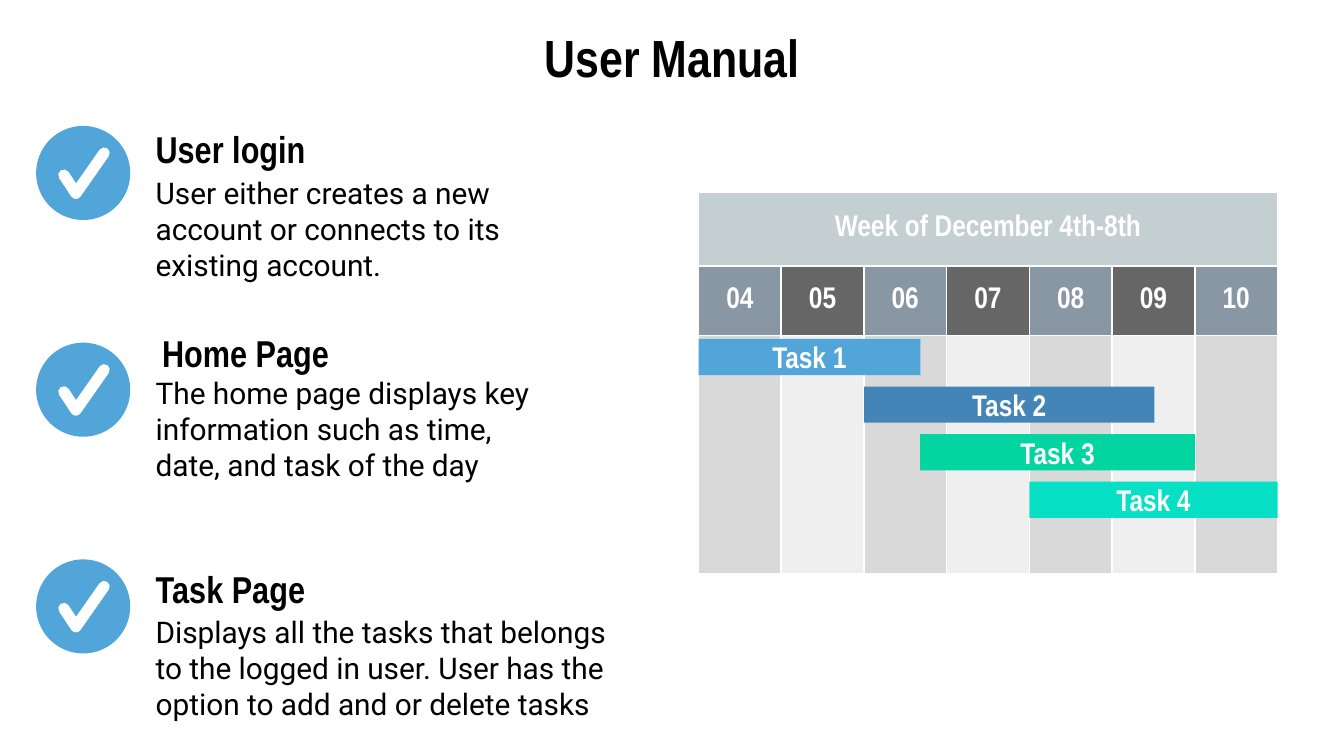
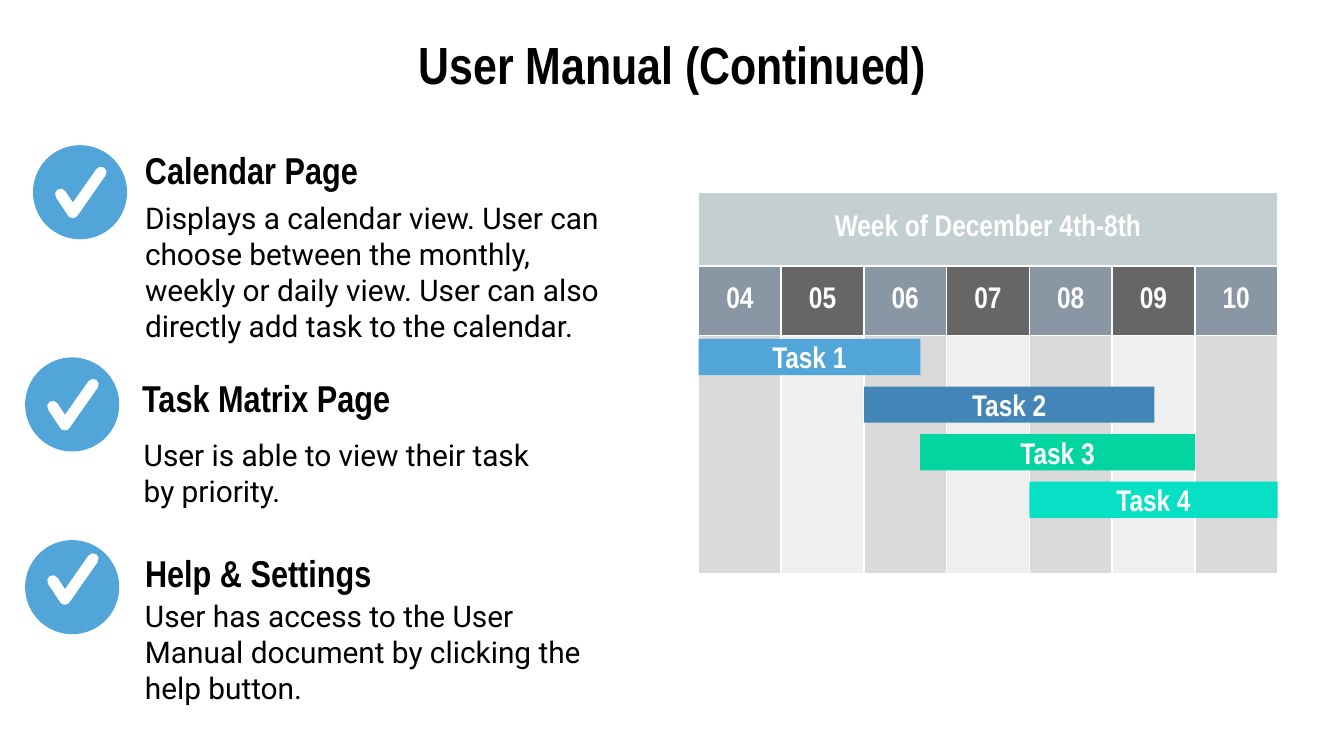
from dataclasses import dataclass

from lxml import etree
from pptx import Presentation
from pptx.dml.color import RGBColor
from pptx.enum import shapes, text
from pptx.oxml import ns
from pptx.util import Pt


@dataclass(frozen=True)
class Theme:
    head: str = "Arial Narrow"
    body: str = "Roboto"
    title: int = 28
    label: int = 20
    small: int = 16
    tick: int = 6
    ink: str = "000000"
    white: str = "FFFFFF"
    blue: str = "51A5D8"
    navy: str = "4385B6"
    green: str = "02D5A0"
    aqua: str = "07E0C4"
    week: str = "C3CFD1"
    days: tuple = ("8997A4", "666666")
    lanes: tuple = ("D9D9D9", "EFEFEF")


T = Theme()
INSET = 7.2
DISC = 50.4
LEFT, TOP, DAY = 374.2, 103, 44.33
ROWS = (39.6, 37.2, 127.4)
DAYS = ("04", "05", "06", "07", "08", "09", "10")
# Task name, first and last edge in day columns, colour
TASKS = (
    ("Task 1", 0, 2.68, T.blue),
    ("Task 2", 2, 5.51, T.navy),
    ("Task 3", 2.68, 6, T.green),
    ("Task 4", 4, 7, T.aqua),
)

# Each step: disc (x, y, tick drop), label (box, text, left inset), body (box, text)
LOGIN = (
    ((19.4, 67.5, 14.5),
     ((76.3, 66.2, 163.4, 26.6), "User login", INSET),
     ((76.3, 92.9, 252, 59), "User either creates a new account or connects "
      "to its existing account.")),
    ((19.4, 183.6, 14.5),
     ((70.6, 174.2, 168.5, 29.5), "Home Page", 16.2),
     ((76.3, 204.5, 231.1, 50.4), "The home page displays key information "
      "such as time, date, and task of the day")),
    ((19.4, 299.7, 14.5),
     ((76.3, 298.1, 181.4, 34.6), "Task Page", INSET),
     ((76.3, 332.6, 261.4, 50.4), "Displays all the tasks that belongs to the "
      "logged in user. User has the option to add and or delete tasks")),
)
VIEWS = (
    ((17.7, 77.8, 14.5),
     ((70.6, 77.8, 163.4, 26.6), "Calendar Page", INSET),
     ((70.6, 105.1, 258.5, 80.6), "Displays a calendar view. User can choose "
      "between the monthly, weekly or daily view. User can also directly add "
      "task to the calendar.")),
    ((13.5, 191.5, 14.5),
     ((64.1, 198, 222.5, 29.5), "Task Matrix Page", 12),
     ((69.9, 228.2, 231.1, 50.4), "User is able to view their task by priority.")),
    ((13.5, 289.4, 10),
     ((70.6, 289.4, 181.4, 34.6), "Help & Settings", INSET),
     ((70.6, 324, 261.4, 50.4), "User has access to the User Manual document "
      "by clicking the help button.")),
)
SLIDES = (
    ("User Manual", 15.8, LOGIN),
    ("User Manual (Continued)", 19.4, VIEWS),
)


def rgb(code):
    return RGBColor.from_string(code)


def write(frame, words, font=T.head, size=T.small, color=T.ink, bold=True,
          align=text.PP_ALIGN.LEFT, pad=INSET):
    frame.word_wrap = True
    frame.vertical_anchor = text.MSO_ANCHOR.MIDDLE
    frame.margin_left = Pt(pad)
    frame.margin_top = frame.margin_right = frame.margin_bottom = Pt(INSET)
    para = frame.paragraphs[0]
    para.alignment = align
    run = para.add_run()
    run.text = words
    run.font.name, run.font.size, run.font.bold = font, Pt(size), bold
    run.font.color.rgb = rgb(color)


def add_text(parent, box, words, **style):
    item = parent.add_textbox(*map(Pt, box))
    write(item.text_frame, words, **style)


def add_block(slide, kind, box, color):
    item = slide.shapes.add_shape(kind, *map(Pt, box))
    item.shadow.inherit = False
    item.fill.solid()
    item.fill.fore_color.rgb = rgb(color)
    item.line.fill.background()
    return item


def add_check(slide, x, y, drop):
    """Draw a disc with a round-ended tick, drop points below its top."""
    add_block(slide, shapes.MSO_SHAPE.OVAL, (x, y, DISC, DISC), T.blue)
    left, top = x + 14.8, y + drop
    pen = slide.shapes.build_freeform(Pt(left), Pt(top + 11.8))
    pen.add_line_segments(
        [(Pt(left + 6.5), Pt(top + 21.6)), (Pt(left + 21.6), Pt(top))],
        close=False)
    tick = pen.convert_to_shape()
    tick.shadow.inherit = False
    tick.fill.background()
    tick.line.width = Pt(T.tick)
    tick.line.color.rgb = rgb(T.white)
    line = tick.line._get_or_add_ln()
    line.set("cap", "rnd")
    etree.SubElement(line, ns.qn("a:round"))


def add_step(slide, disc, label, body):
    add_check(slide, *disc)
    group = slide.shapes.add_group_shape().shapes
    box, words, pad = label
    add_text(group, box, words, size=T.label, pad=pad)
    box, words = body
    add_text(group, box, words, font=T.body, bold=False)


def fill_cell(cell, color, words=""):
    cell.fill.solid()
    cell.fill.fore_color.rgb = rgb(color)
    cell.margin_left = cell.margin_right = Pt(INSET)
    cell.margin_top = cell.margin_bottom = Pt(INSET)
    if words:
        write(cell.text_frame, words, color=T.white,
              align=text.PP_ALIGN.CENTER)
        cell.vertical_anchor = text.MSO_ANCHOR.MIDDLE


def add_week(slide):
    frame = slide.shapes.add_table(
        len(ROWS), len(DAYS), Pt(LEFT), Pt(TOP),
        Pt(DAY * len(DAYS)), Pt(sum(ROWS)))
    grid = frame.table
    grid.first_row = grid.horz_banding = False
    for row, height in zip(grid.rows, ROWS):
        row.height = Pt(height)
    for col in grid.columns:
        col.width = Pt(DAY)
    grid.cell(0, 0).merge(grid.cell(0, len(DAYS) - 1))
    fill_cell(grid.cell(0, 0), T.week, "Week of December 4th-8th")
    for i, day in enumerate(DAYS):
        fill_cell(grid.cell(1, i), T.days[i % 2], day)
        fill_cell(grid.cell(2, i), T.lanes[i % 2])


def add_tasks(slide):
    for i, (name, start, end, color) in enumerate(TASKS):
        box = (LEFT + start * DAY, 181.6 + i * 25.5, (end - start) * DAY, 19.4)
        bar = add_block(slide, shapes.MSO_SHAPE.ROUNDED_RECTANGLE, box, color)
        bar.adjustments[0] = 0
        write(bar.text_frame, name, color=T.white, align=text.PP_ALIGN.CENTER)


def main():
    deck = Presentation()
    deck.slide_width, deck.slide_height = Pt(720), Pt(405)
    for title, top, steps in SLIDES:
        slide = deck.slides.add_slide(deck.slide_layouts[6])
        add_text(slide.shapes, (36, top, 648, 29.5), title, size=T.title,
                 align=text.PP_ALIGN.CENTER)
        for step in steps:
            add_step(slide, *step)
        add_week(slide)
        add_tasks(slide)
    deck.save("out.pptx")


if __name__ == "__main__":
    main()
